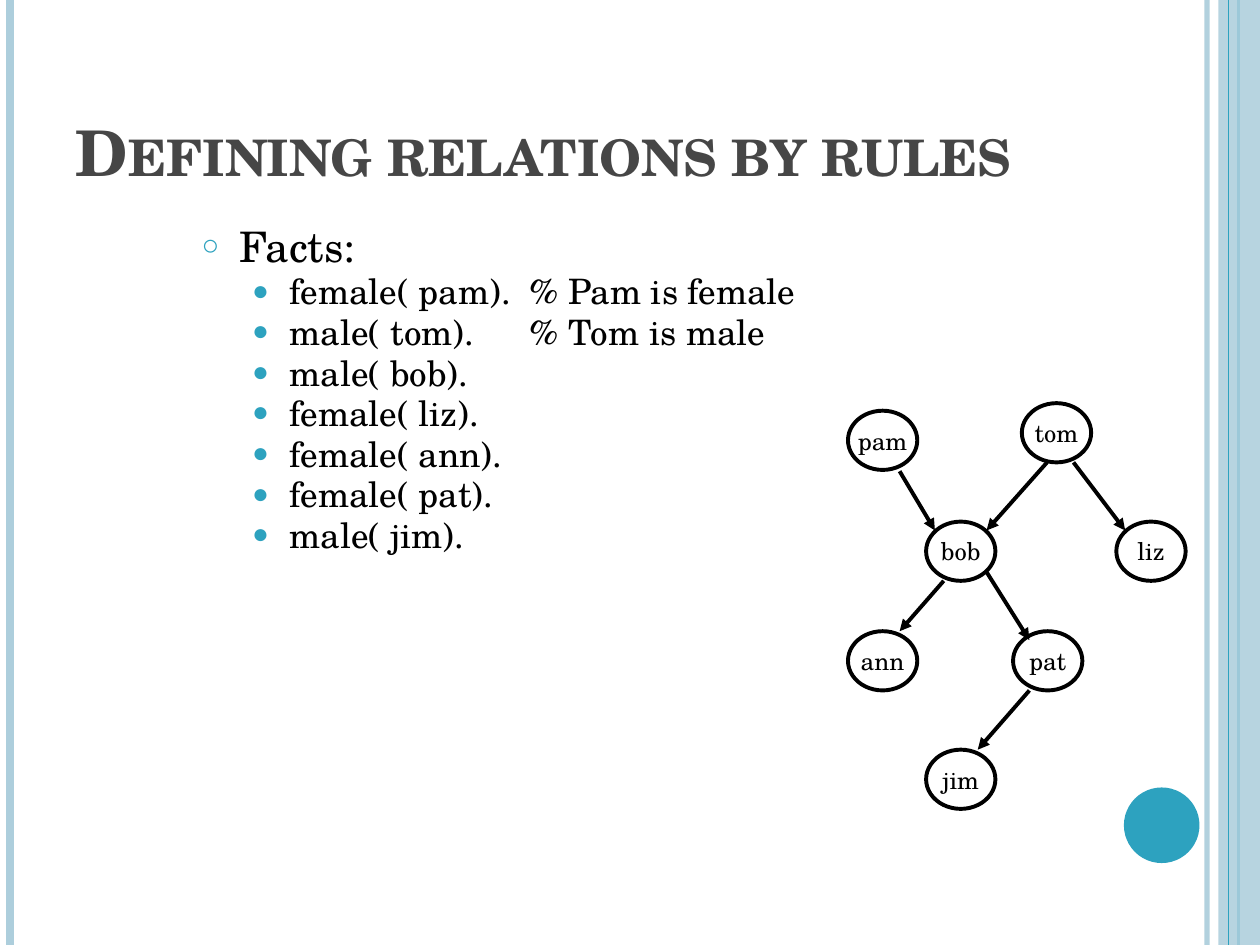
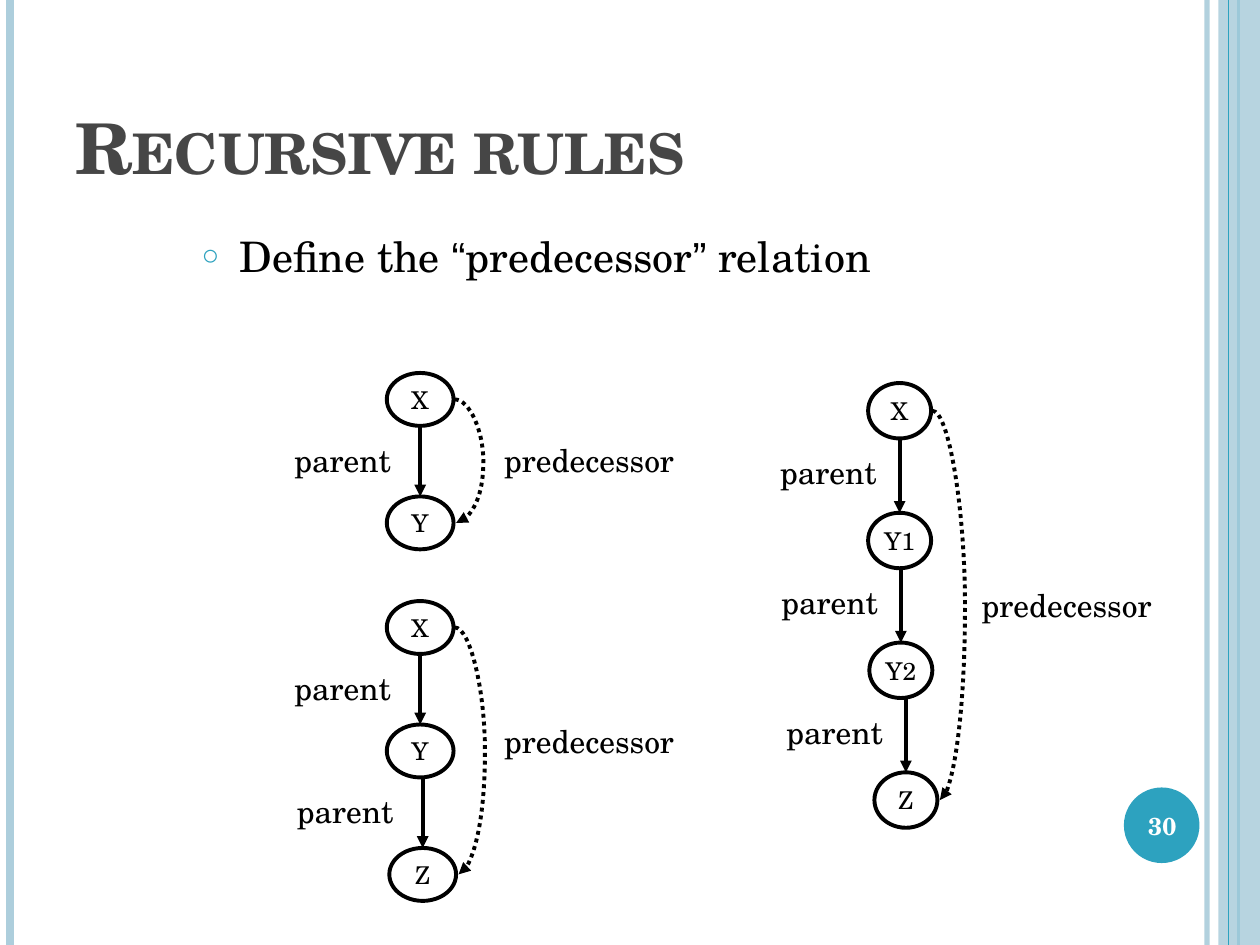
"""Build two slides on logic rules: family facts and the predecessor relation."""
from lxml import etree
from pptx import Presentation
from pptx.dml.color import RGBColor
from pptx.enum.dml import MSO_LINE
from pptx.enum.shapes import MSO_CONNECTOR, MSO_SHAPE
from pptx.enum.text import MSO_ANCHOR, MSO_AUTO_SIZE, PP_ALIGN
from pptx.oxml.ns import qn
from pptx.util import Inches, Pt

STRAIGHT, CURVE = MSO_CONNECTOR.STRAIGHT, MSO_CONNECTOR.CURVE
OVAL, RECTANGLE = MSO_SHAPE.OVAL, MSO_SHAPE.RECTANGLE
MIDDLE, BOTTOM = MSO_ANCHOR.MIDDLE, MSO_ANCHOR.BOTTOM
LEFT, CENTER = PP_ALIGN.LEFT, PP_ALIGN.CENTER
FIXED, DOTTED = MSO_AUTO_SIZE.NONE, MSO_LINE.ROUND_DOT

SERIF, SANS = "TeX Gyre Schola", "Arial"
BLACK, WHITE, GREY = "000000", "FFFFFF", "464646"
TEAL, PALE = "2DA2BF", "ADCEDC"
SLIDE_WIDTH, SLIDE_HEIGHT = 10, 7.5
DISC = (8.92, 6.25, 0.6, 0.6)
TITLE_AREA = (0.5, 0.3, 8.17, 1.25)
BODY_AREA = (1.5, 1.78, 8, 5.51)
COMMENT_TAB = 2.6

BULLETS = [
    {"char": "○", "percent": 70, "margin": 0.3, "size": 24, "before": 6},
    {"char": "●", "percent": 80, "margin": 0.7, "size": 20, "before": 4},
]

FACTS_TITLE = ("Defining relations by rules", 36)
FACTS = [
    (0, [("Facts:", SERIF)]),
    *((1, [(fact, SERIF)]) for fact in (
        "female( pam).\t% Pam is female",
        "male( tom).\t% Tom is male",
        "male( bob).",
        "female( liz).",
        "female( ann).",
        "female( pat).",
        "male( jim).",
    )),
]
PERSON_SIZE = (0.55, 0.47)
PEOPLE = {
    "pam": (6.73, 3.26), "tom": (8.11, 3.2),
    "bob": (7.35, 4.14), "liz": (8.86, 4.14),
    "ann": (6.73, 5.01), "pat": (8.04, 5.01),
    "jim": (7.35, 5.95),
}
PARENT_ARROWS = [
    (7.14, 3.74, 7.42, 4.21),
    (8.31, 3.67, 7.83, 4.21),
    (8.52, 3.67, 8.93, 4.21),
    (7.49, 4.61, 7.14, 5.01),
    (7.83, 4.54, 8.17, 5.08),
    (8.17, 5.48, 7.76, 5.95),
]

RECURSION_TITLE = ("Recursive rules", 40)
RECURSION = [(0, [("Define the ", SERIF), ("“", SANS), ("predecessor", SERIF),
                  ("”", SANS), (" relation", SERIF)])]
PAGE_NUMBER = "30"
CHAINS = [
    {"nodes": [("X", 3.07), ("Y", 3.07)], "top": 2.96, "step": 0.98,
     "size": (0.53, 0.42), "label_offset": 1.1, "bulge": 3.84,
     "predecessor": (3.9, 3.45)},
    {"nodes": [("X", 3.07), ("Y", 3.07), ("Z", 3.09)], "top": 4.77, "step": 0.98,
     "size": (0.53, 0.42), "label_offset": 1.1, "bulge": 3.85,
     "predecessor": (3.9, 5.68)},
    {"nodes": [("X", 6.89), ("Y1", 6.89), ("Y2", 6.9), ("Z", 6.94)], "top": 3.04,
     "step": 1.03, "size": (0.5, 0.44), "label_offset": 1.05, "bulge": 7.66,
     "predecessor": (7.69, 4.6)},
]


def color(value):
    """Turn a hex string into a colour."""
    return RGBColor.from_string(value)


def inches(*values):
    """Turn numbers of inches into lengths."""
    return [Inches(value) for value in values]


def assign(target, **values):
    """Set several attributes of one object."""
    for name, value in values.items():
        setattr(target, name, value)


def add_element(parent, tag, **attributes):
    """Append a drawing element with its attributes."""
    element = etree.SubElement(parent, qn(tag))
    for name, value in attributes.items():
        element.set(name, str(value))
    return element


def set_alpha(fill_owner, percent):
    """Make the solid fill below an element translucent."""
    hue = next(fill_owner.iter(qn("a:srgbClr")))
    add_element(hue, "a:alpha", val=percent * 1000)


def add_span(para, text, size, hue=BLACK, font=SERIF, bold=False):
    """Add formatted text to a paragraph."""
    span = para.add_run()
    span.text = text
    assign(span.font, name=font, size=Pt(size), bold=bold)
    span.font.color.rgb = color(hue)
    return span


def add_line(page, ends, hue=BLACK, width=2.25, kind=STRAIGHT, arrow=False, dash=None):
    """Draw a connector between two points."""
    line = page.shapes.add_connector(kind, *inches(*ends))
    line.line.color.rgb = color(hue)
    line.line.width = Pt(width)
    properties = line._element.spPr
    if dash:
        line.line.dash_style = dash
    if arrow:
        add_element(properties.find(qn("a:ln")), "a:tailEnd", type="triangle")
    add_element(properties, "a:effectLst")
    return line


def add_solid(page, kind, area, fill):
    """Draw a filled shape without outline or shadow."""
    shape = page.shapes.add_shape(kind, *inches(*area))
    shape.shadow.inherit = False
    shape.fill.solid()
    shape.fill.fore_color.rgb = color(fill)
    shape.line.fill.background()
    return shape


def add_node(page, name, place, size):
    """Draw a named, outlined oval."""
    node = add_solid(page, OVAL, (*place, *size), WHITE)
    node.line.color.rgb = color(BLACK)
    node.line.width = Pt(2.25)
    assign(node.text_frame, word_wrap=False, vertical_anchor=MIDDLE)
    para = node.text_frame.paragraphs[0]
    para.alignment = CENTER
    add_span(para, name, 14)


def add_label(page, text, area, size=18, align=LEFT, **span_format):
    """Add a text box with one line."""
    box = page.shapes.add_textbox(*inches(*area))
    box.text_frame.word_wrap = True
    para = box.text_frame.paragraphs[0]
    para.alignment = align
    add_span(para, text, size, **span_format)
    return box


def add_bands(page):
    """Draw the side bands and the page disc."""
    def rule(x, hue, width):
        return add_line(page, (x, 0, x, SLIDE_HEIGHT), hue, width)

    set_alpha(rule(9.58, PALE, 3)._element.spPr, 93)
    rule(0.08, PALE, 4.5)
    rule(9.83, TEAL, 1.5)
    band = add_solid(page, RECTANGLE, (9.67, 0, SLIDE_WIDTH - 9.67, SLIDE_HEIGHT), PALE)
    set_alpha(band._element.spPr, 87)
    rule(9.75, TEAL, 0.75)
    add_solid(page, OVAL, DISC, TEAL)


def place(box, area):
    """Move a placeholder to an area."""
    assign(box, **dict(zip(("left", "top", "width", "height"), inches(*area))))
    assign(box.text_frame, word_wrap=True, auto_size=FIXED)


def fill_body(box, items, spacing):
    """Write the bulleted list into the body placeholder."""
    place(box, BODY_AREA)
    for index, (level, spans) in enumerate(items):
        bullet = BULLETS[level]
        frame = box.text_frame
        para = frame.add_paragraph() if index else frame.paragraphs[0]
        assign(para, level=level, line_spacing=spacing,
               space_before=Pt(bullet["before"] if index else 0))
        properties = para._p.get_or_add_pPr()
        properties.set("marL", str(Inches(bullet["margin"])))
        properties.set("indent", str(Inches(-0.3)))
        add_element(add_element(properties, "a:buClr"), "a:srgbClr", val=TEAL)
        add_element(properties, "a:buSzPct", val=bullet["percent"] * 1000)
        add_element(properties, "a:buChar", char=bullet["char"])
        if any("\t" in text for text, _ in spans):
            tabs = add_element(properties, "a:tabLst")
            add_element(tabs, "a:tab", pos=Inches(COMMENT_TAB), algn="l")
        for text, font in spans:
            add_span(para, text, bullet["size"], font=font)


def add_page(deck, title, items, spacing=1.0):
    """Add a slide with bands, title and list."""
    page = deck.slides.add_slide(deck.slide_layouts[1])
    add_bands(page)
    heading = page.shapes.title
    place(heading, TITLE_AREA)
    heading.text_frame.vertical_anchor = BOTTOM
    para = heading.text_frame.paragraphs[0]
    para.alignment = LEFT
    text, size = title
    span = add_span(para, text, size, GREY, bold=True)
    span._r.get_or_add_rPr().set("cap", "small")
    fill_body(page.placeholders[1], items, spacing)
    return page


def add_chain(page, chain):
    """Draw a chain of parents and its predecessor curve."""
    width, height = chain["size"]
    nodes = [(name, left, chain["top"] + index * chain["step"])
             for index, (name, left) in enumerate(chain["nodes"])]
    for name, left, top in nodes:
        add_node(page, name, (left, top), chain["size"])
    for (_, _, top), (_, next_left, next_top) in zip(nodes, nodes[1:]):
        x, bottom = next_left + width / 2, top + height
        add_line(page, (x, bottom, x, next_top), arrow=True)
        add_label(page, "parent", (x - chain["label_offset"], bottom + 0.07, 1.02, 0.4))
    (_, first_left, first_top), (_, last_left, last_top) = nodes[0], nodes[-1]
    start, end = first_left + width + 0.01, last_left + width + 0.02
    curve = add_line(page, (start, first_top + height / 2, end, last_top + height / 2),
                     kind=CURVE, arrow=True, dash=DOTTED)
    ratio = round((chain["bulge"] - start) / (end - start) * 100000)
    guides = next(curve._element.iter(qn("a:avLst")))
    add_element(guides, "a:gd", name="adj1", fmla=f"val {ratio}")
    add_label(page, "predecessor", (*chain["predecessor"], 1.72, 0.4))


def main():
    """Build and save the deck."""
    deck = Presentation()
    deck.slide_width, deck.slide_height = inches(SLIDE_WIDTH, SLIDE_HEIGHT)

    facts_page = add_page(deck, FACTS_TITLE, FACTS, 0.8)
    for name, corner in PEOPLE.items():
        add_node(facts_page, name, corner, PERSON_SIZE)
    for ends in PARENT_ARROWS:
        add_line(facts_page, ends, arrow=True)

    recursion_page = add_page(deck, RECURSION_TITLE, RECURSION)
    number = add_label(recursion_page, PAGE_NUMBER, (8.89, 6.27, 0.67, 0.57), 14,
                       CENTER, hue=WHITE, bold=True)
    number.text_frame.vertical_anchor = MIDDLE
    for chain in CHAINS:
        add_chain(recursion_page, chain)

    deck.save("out.pptx")


if __name__ == "__main__":
    main()
